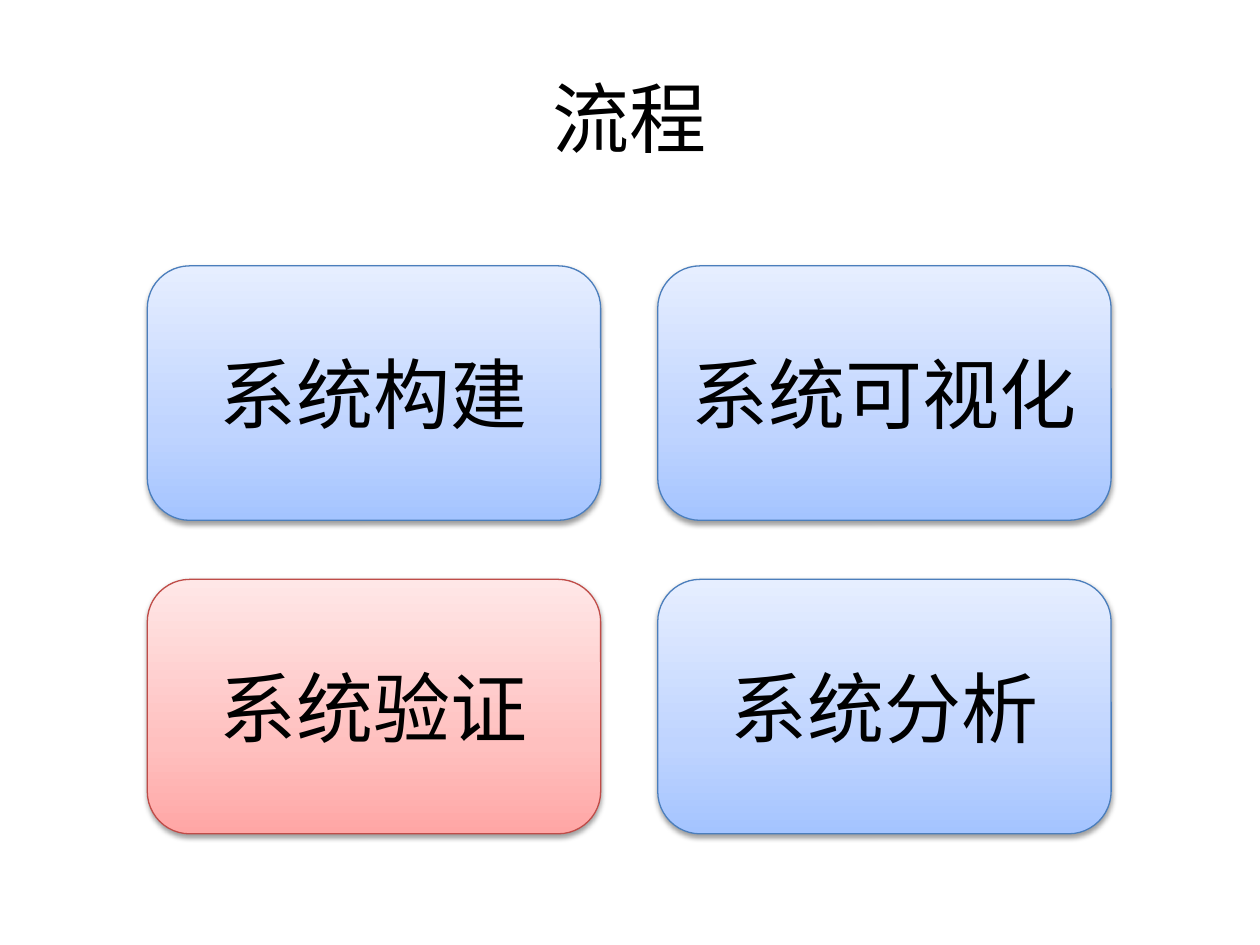
import dataclasses

import lxml.etree
import pptx
import pptx.dml.color
import pptx.enum.shapes
import pptx.enum.text
import pptx.oxml.ns
import pptx.util

Cm = pptx.util.Cm
Pt = pptx.util.Pt
qn = pptx.oxml.ns.qn


@dataclasses.dataclass(frozen=True)
class Theme:
    text: str = "000000"
    shadow: str = "000000"
    size: int = 44
    title_font: str = "Noto Sans CJK SC"
    box_font: str = "Calibri"
    # Each scheme: outline colour, then gradient stops from bottom to top
    blue: tuple = ("4B7EBC", ((0, "A4C4FF"), (35, "BFD4FF"), (100, "E6EEFF")))
    red: tuple = ("BF4C48", ((0, "FFA6A5"), (35, "FFC0BF"), (100, "FFE7E7")))


THEME = Theme()

# Grid of process steps: first corner, box size and distance between boxes
LEFT, TOP = 2.97, 5.36
WIDTH, HEIGHT = 9.14, 5.13
STEP_X, STEP_Y = 10.29, 6.32

STEPS = [
    ("系统构建", 0, 0, THEME.blue),
    ("系统分析", 1, 1, THEME.blue),
    ("系统可视化", 1, 0, THEME.blue),
    ("系统验证", 0, 1, THEME.red),
]


def rgb(value):
    return pptx.dml.color.RGBColor.from_string(value)


def apply(target, formats):
    for name, value in formats.items():
        setattr(target, name, value)


def write_text(shape, text, font_name):
    frame = shape.text_frame
    apply(frame, {
        "word_wrap": True,
        "vertical_anchor": pptx.enum.text.MSO_ANCHOR.MIDDLE,
    })
    paragraph = frame.paragraphs[0]
    paragraph.alignment = pptx.enum.text.PP_ALIGN.CENTER
    run = paragraph.add_run()
    run.text = text
    apply(run.font, {"name": font_name, "size": Pt(THEME.size)})
    run.font.color.rgb = rgb(THEME.text)


def add_color(parent, value):
    return lxml.etree.SubElement(parent, qn("a:srgbClr"), val=value)


def set_gradient(shape, stops):
    shape.fill.gradient()
    shape.fill.gradient_angle = 90
    stop_list = shape.element.spPr.find(".//" + qn("a:gsLst"))
    for old_stop in list(stop_list):
        stop_list.remove(old_stop)
    for position, color in stops:
        stop = lxml.etree.SubElement(stop_list, qn("a:gs"), pos=str(position * 1000))
        add_color(stop, color)


def set_shadow(shape):
    shape.shadow.inherit = False
    effects = shape.element.spPr.find(qn("a:effectLst"))
    shadow = lxml.etree.SubElement(
        effects, qn("a:outerShdw"),
        blurRad="40000", dist="20000", dir="5400000", rotWithShape="0")
    color = add_color(shadow, THEME.shadow)
    lxml.etree.SubElement(color, qn("a:alpha"), val="38000")


def add_title(slide, text):
    title = slide.shapes.add_textbox(Cm(1.27), Cm(0.76), Cm(22.86), Cm(3.18))
    write_text(title, text, THEME.title_font)


def add_step(group, text, column, row, scheme):
    line_color, stops = scheme
    box = group.shapes.add_shape(
        pptx.enum.shapes.MSO_SHAPE.ROUNDED_RECTANGLE,
        Cm(LEFT + column * STEP_X), Cm(TOP + row * STEP_Y), Cm(WIDTH), Cm(HEIGHT))
    set_gradient(box, stops)
    box.line.color.rgb = rgb(line_color)
    box.line.width = Pt(0.75)
    set_shadow(box)
    write_text(box, text, THEME.box_font)


def main():
    presentation = pptx.Presentation()
    apply(presentation, {"slide_width": Cm(25.4), "slide_height": Cm(19.05)})
    slide = presentation.slides.add_slide(presentation.slide_layouts[6])

    # Heading
    add_title(slide, "流程")

    # Process steps, kept together as one group
    group = slide.shapes.add_group_shape()
    for step in STEPS:
        add_step(group, *step)

    presentation.save("out.pptx")


if __name__ == "__main__":
    main()
